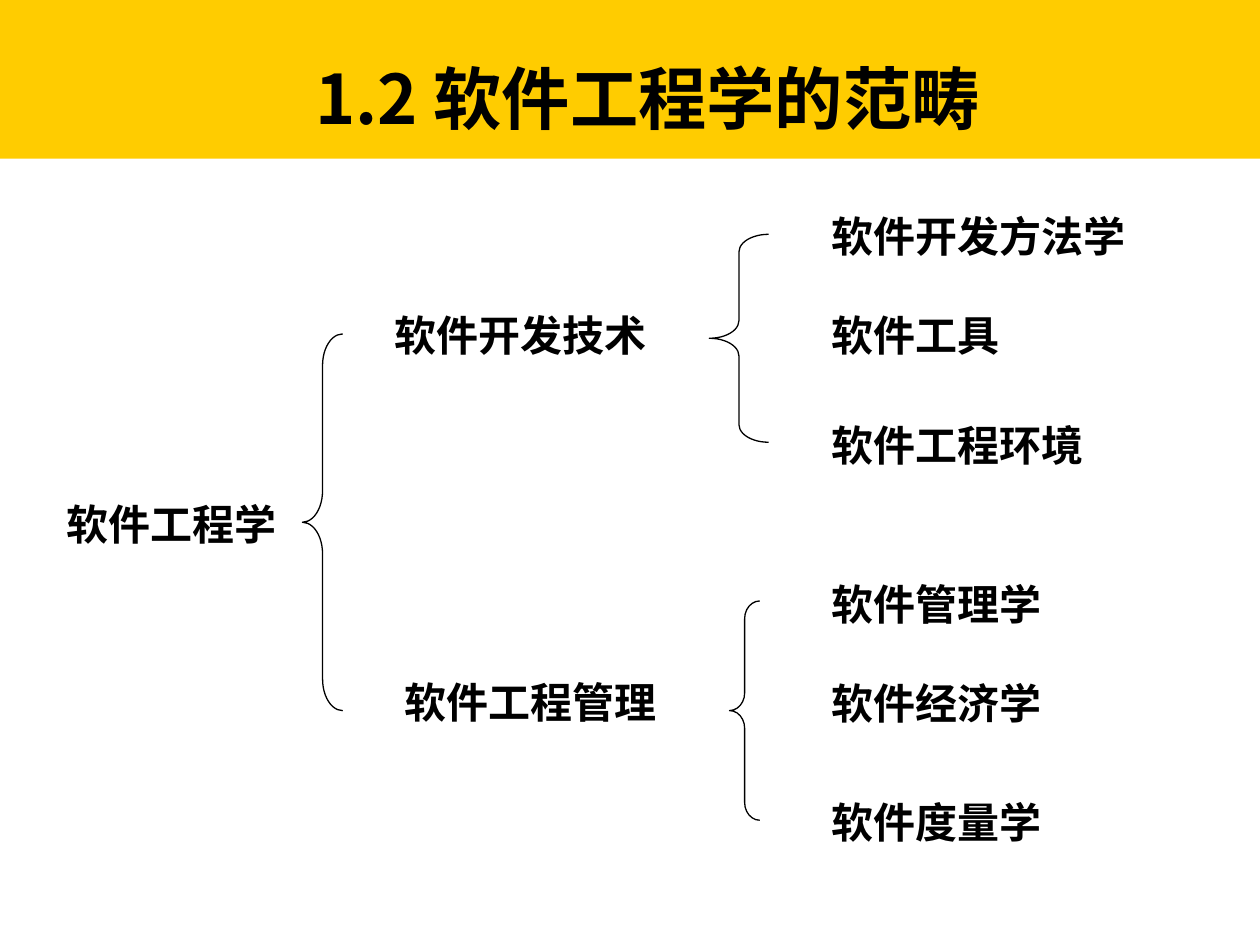
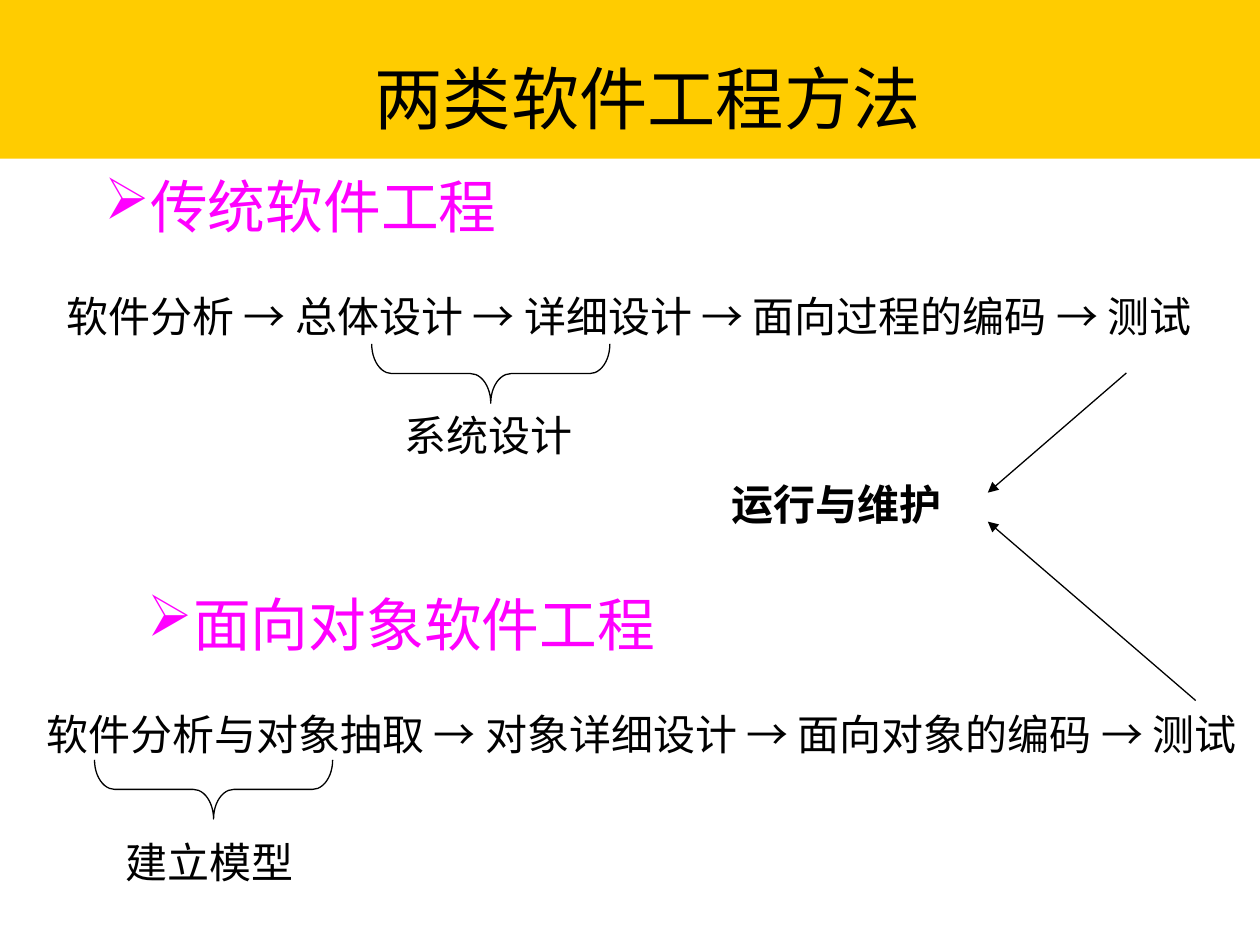
import pptx
import pptx.dml.color
import pptx.enum.shapes
import pptx.enum.text
import pptx.oxml
import pptx.oxml.ns
import pptx.util
from dataclasses import dataclass
from lxml import etree

Inches = pptx.util.Inches
Pt = pptx.util.Pt
RGB = pptx.dml.color.RGBColor
Shape = pptx.enum.shapes.MSO_SHAPE
Align = pptx.enum.text.PP_ALIGN
Anchor = pptx.enum.text.MSO_ANCHOR
qn = pptx.oxml.ns.qn


@dataclass(frozen=True)
class Theme:
    band: RGB = RGB(0xFF, 0xCC, 0x00)
    ink: RGB = RGB(0, 0, 0)
    accent: RGB = RGB(0xFF, 0x00, 0xFF)
    serif: str = "Times New Roman"
    narrow: str = "Arial Narrow"
    sans: str = "Noto Sans CJK SC"
    title: int = 39
    heading: int = 33
    body: int = 24
    line: float = 0.75


theme = Theme()


def add_text(slide, text, left, top, width, height, size=theme.body,
             font=theme.serif, color=theme.ink, bold=False, spacing=None):
    """Add a one-paragraph text box and return its text frame."""
    frame = slide.shapes.add_textbox(
        Inches(left), Inches(top), Inches(width), Inches(height)).text_frame
    frame.word_wrap = True
    paragraph = frame.paragraphs[0]
    paragraph.text = text
    paragraph.line_spacing = spacing
    paragraph.font.size = Pt(size)
    paragraph.font.name = font
    paragraph.font.bold = bold
    paragraph.font.color.rgb = color
    return frame


def add_brace(slide, left, top, width, height, curve, rotation=0):
    """Add a left brace; curve is the height of one arc in inches."""
    brace = slide.shapes.add_shape(
        Shape.LEFT_BRACE, Inches(left), Inches(top), Inches(width), Inches(height))
    brace.adjustments[0] = curve / width
    brace.rotation = rotation
    brace.shadow.inherit = False
    brace.fill.background()
    brace.line.color.rgb = theme.ink
    brace.line.width = Pt(theme.line)


deck = pptx.Presentation()
deck.slide_width, deck.slide_height = Inches(10), Inches(7.5)

# Yellow band and title on both slides
titles = [("1.2 软件工程学的范畴", theme.sans, True),
          ("两类软件工程方法", theme.narrow, False)]
for title, font, bold in titles:
    slide = deck.slides.add_slide(deck.slide_layouts[6])
    band = slide.shapes.add_shape(Shape.RECTANGLE, 0, 0, deck.slide_width, Inches(1.26))
    band.shadow.inherit = False
    band.fill.solid()
    band.fill.fore_color.rgb = theme.band
    band.line.fill.background()
    frame = add_text(slide, title, 1.21, 0.29, 7.86, 0.96, theme.title, font, bold=bold)
    frame.vertical_anchor = Anchor.MIDDLE
    frame.paragraphs[0].alignment = Align.CENTER
scope, methods = deck.slides

# Slide 1: tree of the field, root and branches
add_text(scope, "软件工程学", 0.43, 3.83, 2.18, 0.58, font=theme.sans, bold=True, spacing=1.2)
add_text(scope, "软件开发技术", 3.03, 2.33, 2.3, 0.58, bold=True, spacing=1.2)
add_text(scope, "软件工程管理", 3.11, 5.4, 2.3, 0.42, bold=True, spacing=0.8)

# Leaves in one column
leaves = [("软件开发方法学", 1.54), ("软件工具", 2.33), ("软件工程环境", 3.2),
          ("软件管理学", 4.46), ("软件经济学", 5.25), ("软件度量学", 6.19)]
for leaf, top in leaves:
    add_text(scope, leaf, 6.5, top, 2.7, 0.58, bold=True, spacing=1.2)

# Braces that join the levels
add_brace(scope, 2.4, 2.65, 0.32, 2.99, 0.25)
add_brace(scope, 5.63, 1.86, 0.47, 1.65, 0.14)
add_brace(scope, 5.79, 4.77, 0.24, 1.74, 0.14)

# Slide 2: the two methods, each with a heading, a flow and a grouped stage
approaches = [
    ("传统软件工程", ["软件分析", "总体设计", "详细设计", "面向过程的编码", "测试"],
     0.43, 1.31, 0.3, "系统设计", 3.11, 3.2, 3.66, 2.02),
    ("面向对象软件工程", ["软件分析与对象抽取", "对象详细设计", "面向对象的编码", "测试"],
     0.27, 4.62, 0.8, "建立模型", 0.9, 6.59, 1.46, 5.32),
]
for (heading, stages, left, top, indent,
     group, group_left, group_top, brace_left, brace_top) in approaches:
    frame = add_text(methods, heading, left, top, 10 - left, 1.45,
                     theme.heading, color=theme.accent)
    bullet = frame.paragraphs[0]._p.get_or_add_pPr()
    bullet.set("marL", str(Inches(indent)))
    bullet.set("indent", "0")
    mark = etree.Element(qn("a:buChar"), char="➢")
    bullet.insert_element_before(mark, "a:tabLst", "a:defRPr")

    flow = frame.add_paragraph()
    flow.text = " → ".join(stages)
    flow.space_before = Pt(28.8)
    flow.font.size = Pt(theme.body)
    flow.font.name = theme.serif
    flow.font.color.rgb = theme.ink

    add_brace(methods, brace_left, brace_top, 0.47, 1.89, 0.16, rotation=270)
    add_text(methods, group, group_left, group_top, 1.89, 0.5)

# Shared last stage, reached from both flows
add_text(methods, "运行与维护", 5.71, 3.75, 1.89, 0.5, bold=True)
for start_x, start_y, end_y in [(8.94, 2.96, 3.91), (9.49, 5.56, 4.14)]:
    arrow = methods.shapes.add_connector(
        pptx.enum.shapes.MSO_CONNECTOR.STRAIGHT,
        Inches(start_x), Inches(start_y), Inches(7.84), Inches(end_y))
    arrow.line.color.rgb = theme.ink
    arrow.line.width = Pt(theme.line)
    etree.SubElement(arrow.line._get_or_add_ln(), qn("a:tailEnd"), type="triangle")
    etree.SubElement(arrow._element.spPr, qn("a:effectLst"))

deck.save("out.pptx")
